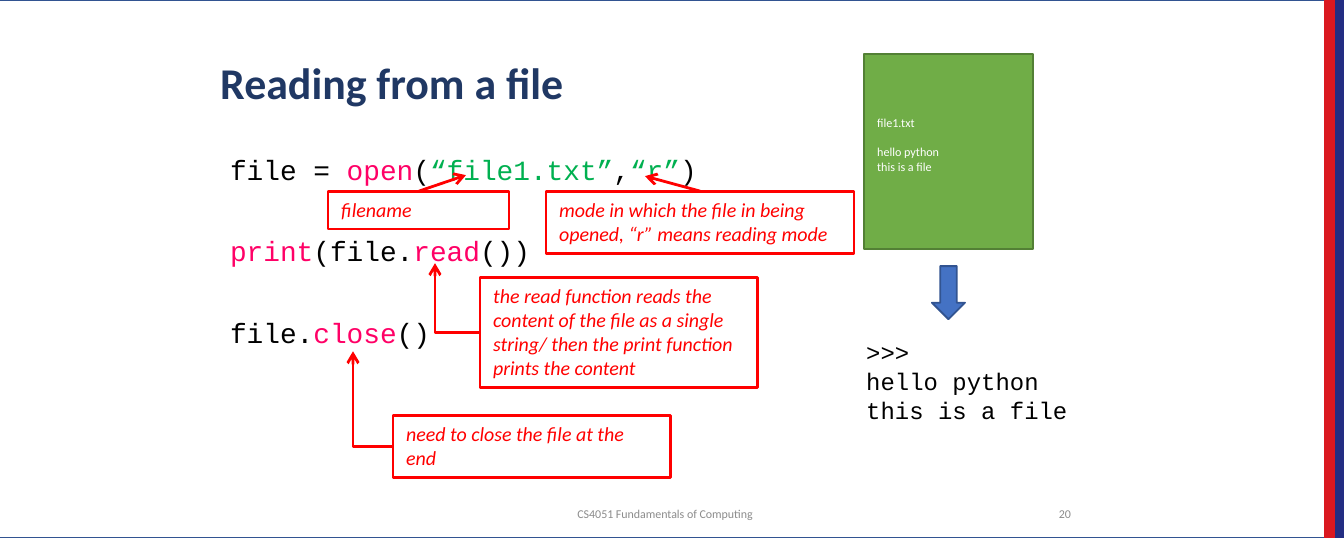
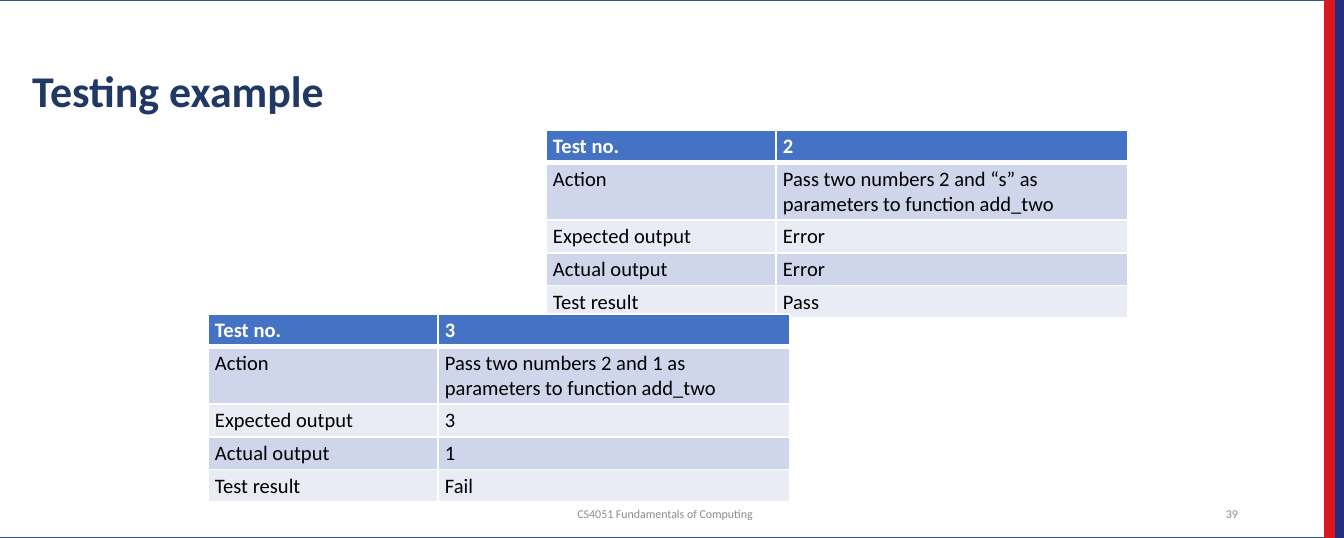
"""Build two lecture slides on file reading and testing."""
from dataclasses import dataclass

from lxml.etree import SubElement
from pptx import Presentation
from pptx.dml.color import RGBColor
from pptx.enum.shapes import MSO_CONNECTOR, MSO_SHAPE
from pptx.enum.text import MSO_ANCHOR, PP_ALIGN
from pptx.oxml.ns import qn
from pptx.util import Emu, Inches, Pt

EMU_PER_PIXEL = 914400 / 134.4


@dataclass(frozen=True)
class Theme:
    body_font: str = "Calibri"
    code_font: str = "Courier New"
    white: str = "FFFFFF"
    black: str = "000000"
    title: str = "203864"
    frame: str = "325491"
    navy: str = "232D82"
    red: str = "DA1820"
    footer: str = "8C8C8C"
    note: str = "FF0000"
    keyword: str = "FF0066"
    string: str = "00B050"
    page: str = "70AD47"
    page_edge: str = "538035"
    accent: str = "4472C4"
    dark_row: str = "CFD5EA"
    light_row: str = "E9EBF5"
    title_size: float = 23.5
    code_size: float = 14.9
    output_size: float = 12.8
    table_size: float = 11
    note_size: float = 10.7
    page_size: float = 6.5
    footer_size: float = 6.4


def pixels(value):
    return Emu(round(value * EMU_PER_PIXEL))


def rgb(value):
    return RGBColor.from_string(value)


def apply(target, values):
    for name, value in values.items():
        setattr(target, name, value)


class Deck:
    def __init__(self, theme):
        self.theme = theme
        self.presentation = Presentation()
        apply(self.presentation, {"slide_width": Inches(10), "slide_height": Inches(4)})
        self.slide = None

    def add_slide(self, title, title_box, number, number_box):
        theme = self.theme
        self.slide = self.presentation.slides.add_slide(self.presentation.slide_layouts[6])
        self.shape((-9, 0, 1334, 538), theme.white, theme.frame)
        for left, color in ((1335, theme.navy), (1325, theme.red)):
            self.shape((left, 0, 9, 538), color, color)
        self.text(title_box, [title], theme.title_size, theme.title, bold=True,
                  anchor=MSO_ANCHOR.BOTTOM, spacing=0.9)
        footers = (
            ((349, 499, 632, 28), "CS4051 Fundamentals of Computing", PP_ALIGN.CENTER),
            (number_box, number, PP_ALIGN.RIGHT),
        )
        for box, words, align in footers:
            self.text(box, [words], theme.footer_size, theme.footer,
                      anchor=MSO_ANCHOR.MIDDLE, align=align)

    def shape(self, box, fill, line, width=1, kind=MSO_SHAPE.RECTANGLE):
        shape = self.slide.shapes.add_shape(kind, *map(pixels, box))
        shape.shadow.inherit = False
        if fill:
            shape.fill.solid()
            shape.fill.fore_color.rgb = rgb(fill)
        else:
            shape.fill.background()
        shape.line.color.rgb = rgb(line)
        shape.line.width = Pt(width)
        return shape

    def text(self, box, paragraphs, size, color, **options):
        shape = self.slide.shapes.add_textbox(*map(pixels, box))
        self.set_text(shape.text_frame, paragraphs, size, color, **options)

    def set_text(self, frame, paragraphs, size, color, font=None, bold=False, italic=False,
                 anchor=MSO_ANCHOR.TOP, align=PP_ALIGN.LEFT, spacing=1.0, gaps=None,
                 margins=None):
        apply(frame, {"word_wrap": True, "vertical_anchor": anchor})
        apply(frame, {side: pixels(value) for side, value in (margins or {}).items()})
        for index, content in enumerate(paragraphs):
            paragraph = frame.add_paragraph() if index else frame.paragraphs[0]
            apply(paragraph, {"alignment": align, "line_spacing": spacing,
                              "space_before": Pt((gaps or {}).get(index, 0))})
            runs = [(content, color)] if isinstance(content, str) else content
            for words, run_color in runs:
                run = paragraph.add_run()
                run.text = words
                apply(run.font, {"name": font or self.theme.body_font, "size": Pt(size),
                                 "bold": bold, "italic": italic})
                run.font.color.rgb = rgb(run_color)

    def arrow(self, start, end, bent=False):
        kind = MSO_CONNECTOR.ELBOW if bent else MSO_CONNECTOR.STRAIGHT
        first, last = (end, start) if bent else (start, end)
        connector = self.slide.shapes.add_connector(kind, *map(pixels, first + last))
        connector.line.color.rgb = rgb(self.theme.note)
        connector.line.width = Pt(1.5)
        properties = connector.element.spPr
        if bent:
            properties.find(qn("a:prstGeom")).set("prst", "bentConnector2")
            properties.find(qn("a:xfrm")).set("rot", "10800000")
        SubElement(properties.find(qn("a:ln")), qn("a:tailEnd"), type="arrow")
        SubElement(properties, qn("a:effectLst"))

    def callout(self, box, words, start, end, bent=False):
        shape = self.shape(box, None, self.theme.note, 1.5)
        self.set_text(shape.text_frame, [words], self.theme.note_size, self.theme.note,
                      italic=True)
        self.arrow(start, end, bent)

    def borders(self, cell, widths):
        properties = cell._tc.get_or_add_tcPr()
        for side, width in widths.items():
            line = SubElement(properties, qn(f"a:ln{side}"), w=str(Pt(width)))
            fill = SubElement(line, qn("a:solidFill"))
            SubElement(fill, qn("a:srgbClr"), val=self.theme.white)

    def table(self, left, top, rows):
        theme = self.theme
        widths, heights = (230, 352), (31, 55, 31, 31, 31)
        frame = self.slide.shapes.add_table(
            len(rows), len(widths), *map(pixels, (left, top, sum(widths), sum(heights))))
        table = frame.table
        for column, width in zip(table.columns, widths):
            column.width = pixels(width)
        for index, (row, height, values) in enumerate(zip(table.rows, heights, rows)):
            row.height = pixels(height)
            header = index == 0
            fill = theme.accent if header else (theme.light_row, theme.dark_row)[index % 2]
            for cell, words in zip(row.cells, values):
                self.borders(cell, {"L": 1, "R": 1, "T": 3 if index == 1 else 1,
                                    "B": 3 if header else 1})
                cell.fill.solid()
                cell.fill.fore_color.rgb = rgb(fill)
                apply(cell, {"margin_left": pixels(7), "margin_right": pixels(7),
                             "margin_top": pixels(4), "margin_bottom": pixels(4)})
                self.set_text(cell.text_frame, [words], theme.table_size,
                              theme.white if header else theme.black, bold=header)

    def test_case(self, left, top, number, arguments, expected, actual, result):
        self.table(left, top, (
            ("Test no.", number),
            ("Action", f"Pass two numbers {arguments} as parameters to function add_two"),
            ("Expected output", expected),
            ("Actual output", actual),
            ("Test result", result),
        ))


def reading_slide(deck):
    theme = deck.theme
    black, keyword, string = theme.black, theme.keyword, theme.string
    deck.add_slide("Reading from a file", (207, 12, 876, 104), "20", (1031, 499, 53, 28))
    code = [
        [("file = ", black), ("open", keyword), ("(", black), ("“file1.txt”", string),
         (",", black), ("“r”", string), (")", black)],
        [("print", keyword), ("(file.", black), ("read", keyword), ("())", black)],
        [("file.", black), ("close", keyword), ("()", black)],
    ]
    deck.text((208, 144, 876, 352), code, theme.code_size, black, font=theme.code_font,
              align=PP_ALIGN.JUSTIFY, spacing=0.9, gaps={1: 27.7, 2: 27.7},
              margins={"margin_left": 22, "margin_top": 12})
    deck.callout((328, 191, 181, 38), "filename", (419, 191), (466, 175))
    deck.callout((546, 191, 308, 62),
                 "mode in which the file in being opened, “r” means reading mode",
                 (700, 191), (645, 176))
    deck.callout((480, 277, 278, 110),
                 "the read function reads the content of the file as a single string/ "
                 "then the print function prints the content",
                 (480, 332), (435, 263), bent=True)
    deck.callout((393, 415, 278, 62), "need to close the file at the end",
                 (393, 446), (353, 351), bent=True)
    page = deck.shape((864, 54, 169, 195), theme.page, theme.page_edge)
    output = ["hello python", "this is a file"]
    deck.set_text(page.text_frame, ["file1.txt"] + output, theme.page_size, theme.white,
                  anchor=MSO_ANCHOR.MIDDLE, gaps={1: 7.8}, margins={"margin_bottom": 21})
    deck.text((853, 331, 231, 101), [">>>"] + output, theme.output_size, black,
              font=theme.code_font)
    deck.shape((932, 266, 33, 53), theme.accent, theme.frame, kind=MSO_SHAPE.DOWN_ARROW)


def testing_slide(deck):
    deck.add_slide("Testing example", (19, 20, 1232, 104), "39", (1176, 499, 75, 28))
    deck.test_case(546, 130, "2", "2 and “s”", "Error", "Error", "Pass")
    deck.test_case(208, 314, "3", "2 and 1", "3", "1", "Fail")


deck = Deck(Theme())
reading_slide(deck)
testing_slide(deck)
deck.presentation.save("out.pptx")
